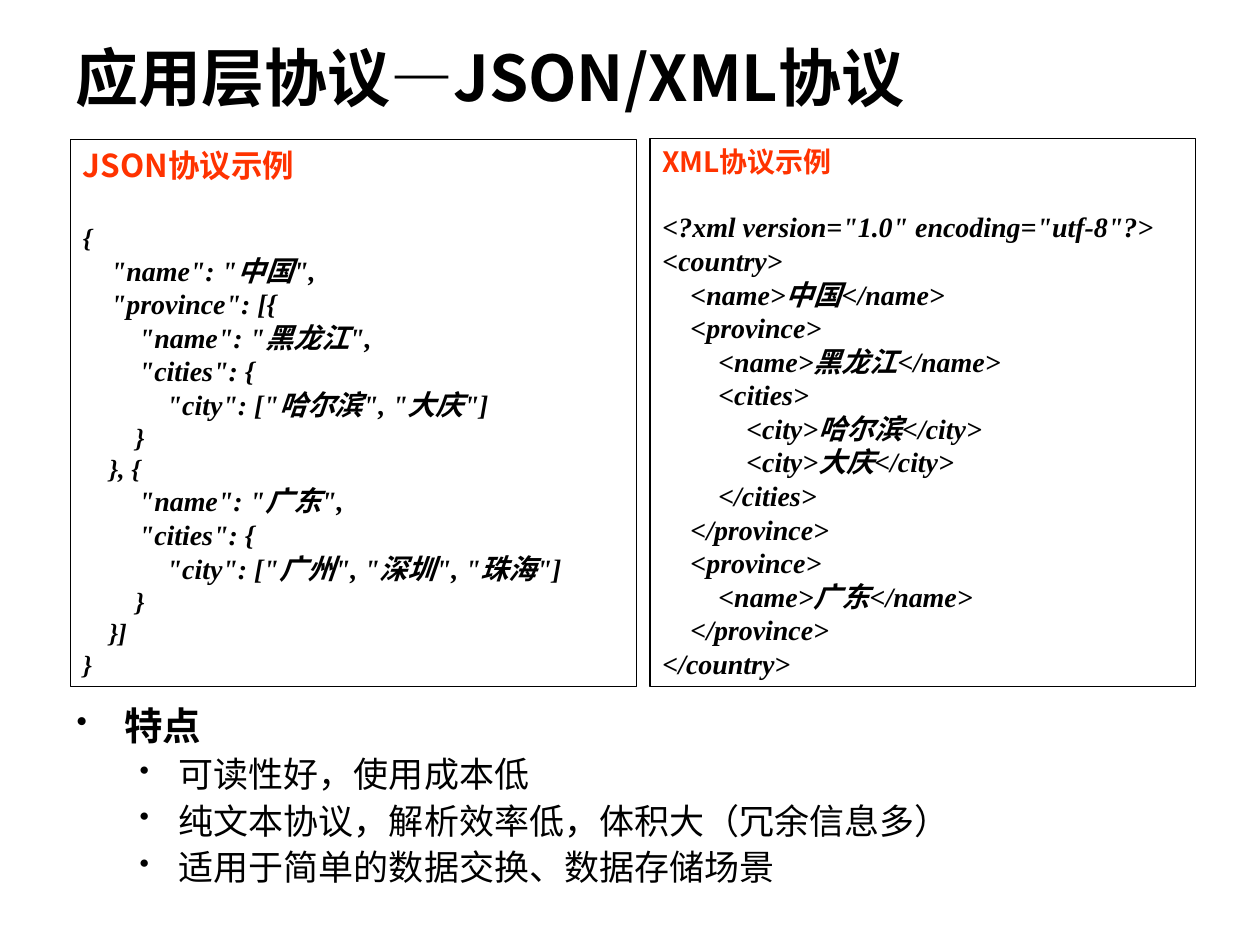
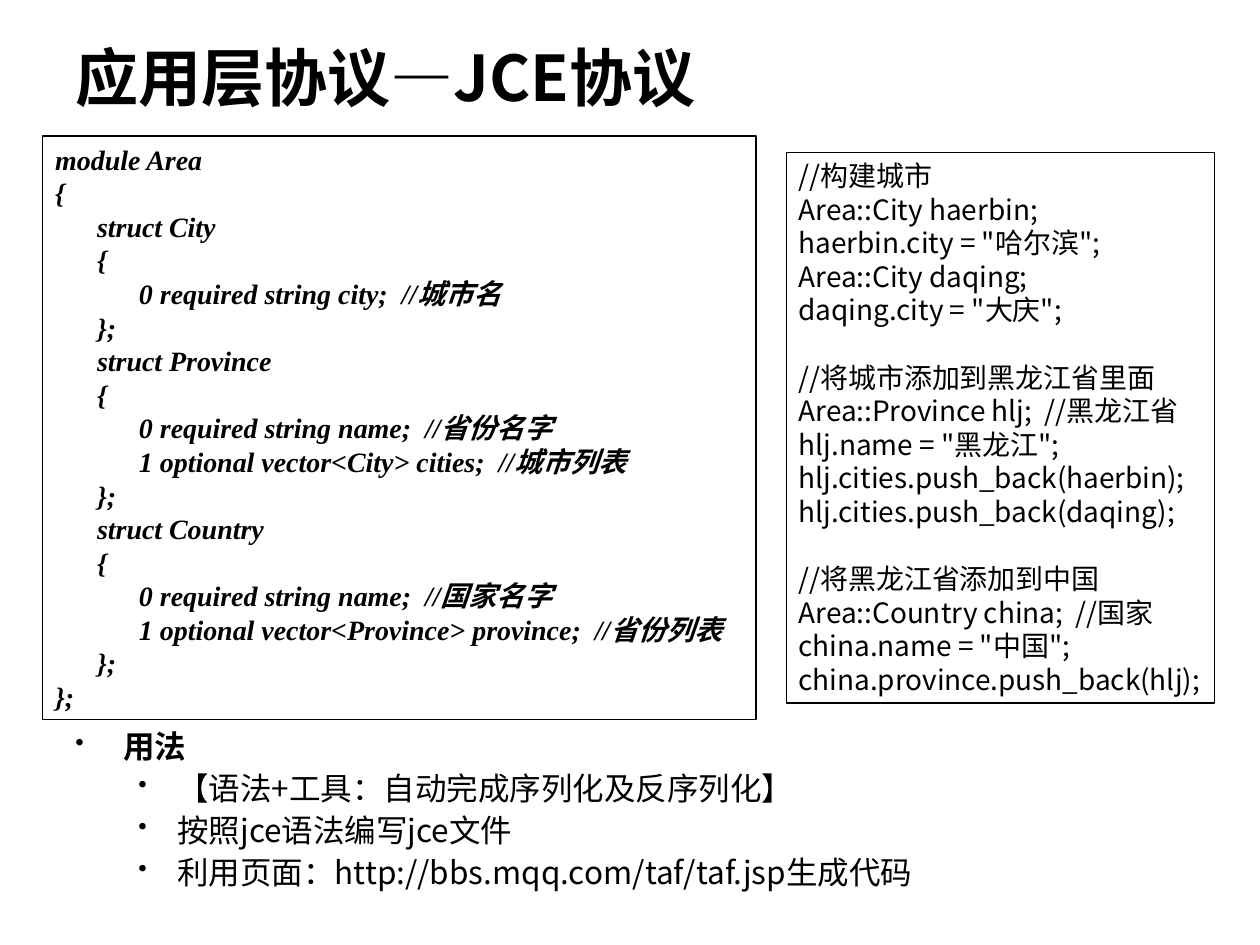
from dataclasses import dataclass

from lxml import etree
from pptx import Presentation
from pptx import util as u
from pptx.dml.color import RGBColor
from pptx.enum import shapes, text
from pptx.oxml.ns import qn

EMU_PER_PX = 9144


@dataclass(frozen=True)
class Theme:
    ink: str = "000000"
    accent: str = "FF3300"
    sans: str = "Noto Sans CJK SC"
    serif: str = "Times New Roman"
    title_size: int = 36
    code_size: int = 16
    bracket_size: int = 15
    code_leading: float = 1.2
    bullet_leading: float = 1.08
    border: float = 0.75


JSON_SAMPLE = """{
    "name": "中国",
    "province": [{
        "name": "黑龙江",
        "cities": {
            "city": ["哈尔滨", "大庆"]
        }
    }, {
        "name": "广东",
        "cities": {
            "city": ["广州", "深圳", "珠海"]
        }
    }]
}"""

XML_SAMPLE = """<?xml version="1.0" encoding="utf-8"?>
<country>
    <name>中国</name>
    <province>
        <name>黑龙江</name>
        <cities>
            <city>哈尔滨</city>
            <city>大庆</city>
        </cities>
    </province>
    <province>
        <name>广东</name>
    </province>
</country>"""

JCE_DEFINITION = """module Area
{
      struct City
      {
            0 required string city;  //城市名
      };
      struct Province
      {
            0 required string name;  //省份名字
            1 optional vector<City> cities;  //城市列表
      };
      struct Country
      {
            0 required string name;  //国家名字
            1 optional vector<Province> province;  //省份列表
      };
};"""

JCE_USAGE = """//构建城市
Area::City haerbin;
haerbin.city = "哈尔滨";
Area::City daqing;
daqing.city = "大庆";

//将城市添加到黑龙江省里面
Area::Province hlj;  //黑龙江省
hlj.name = "黑龙江";
hlj.cities.push_back(haerbin);
hlj.cities.push_back(daqing);

//将黑龙江省添加到中国
Area::Country china;  //国家
china.name = "中国";
china.province.push_back(hlj);"""


def px(length):
    return u.Emu(length * EMU_PER_PX)


class Deck:
    def __init__(self, theme):
        self.theme = theme
        self.prs = Presentation()
        self.prs.slide_width, self.prs.slide_height = px(1000), px(750)
        self.slide = None

    def new_slide(self, heading):
        self.slide = self.prs.slides.add_slide(self.prs.slide_layouts[6])
        frame = self.text_box(50, 21, 900, 79)
        frame.vertical_anchor = text.MSO_ANCHOR.MIDDLE
        self.set_line(frame.paragraphs[0], heading, self.theme.title_size, bold=True)

    def text_box(self, *place):
        box = self.slide.shapes.add_textbox(*map(px, place))
        box.text_frame.word_wrap = True
        return box.text_frame

    def next_paragraph(self, frame):
        first = frame.paragraphs[0]
        return frame.add_paragraph() if first.runs else first

    def set_line(self, paragraph, words, size, font=None, color=None, bold=False,
                 italic=False, leading=None, before=0):
        paragraph.text = words
        paragraph.alignment = text.PP_ALIGN.LEFT
        if leading:
            paragraph.line_spacing = u.Pt(size * leading)
        if before:
            paragraph.space_before = u.Pt(before)
        for run in paragraph.runs:
            run.font.name = font or self.theme.sans
            run.font.size = u.Pt(size)
            run.font.bold, run.font.italic = bold, italic
            run.font.color.rgb = RGBColor.from_string(color or self.theme.ink)
            east_asian = etree.SubElement(run.font._element, qn("a:ea"))
            east_asian.set("typeface", self.theme.sans)

    def code_panel(self, place, code, heading=None, heading_size=16, gap=0,
                   styled=True, small_brackets=False):
        theme = self.theme
        panel = self.slide.shapes.add_shape(shapes.MSO_SHAPE.RECTANGLE, *map(px, place))
        panel.shadow.inherit = False
        panel.fill.background()
        panel.line.color.rgb = RGBColor.from_string(theme.ink)
        panel.line.width = u.Pt(theme.border)
        frame = panel.text_frame
        frame.word_wrap = False
        frame.vertical_anchor = text.MSO_ANCHOR.TOP
        if heading:
            self.set_line(frame.paragraphs[0], heading, heading_size,
                          color=theme.accent, bold=True, leading=theme.code_leading)
        before = gap
        for line in code.splitlines():
            if not line:
                before = theme.code_size * theme.code_leading
                continue
            bracket = small_brackets and '"' not in line
            self.set_line(self.next_paragraph(frame), line,
                          theme.bracket_size if bracket else theme.code_size,
                          font=theme.serif if styled else theme.sans,
                          bold=styled, italic=styled,
                          leading=theme.code_leading, before=before)
            before = 0

    def bullets(self, place, topic, points, topic_size, point_size, before):
        frame = self.text_box(*place)
        for index, words in enumerate([topic, *points]):
            is_topic = index == 0
            paragraph = self.next_paragraph(frame)
            self.add_bullet(paragraph, *((38, -38) if is_topic else (81, -31)))
            paragraph.level = 0 if is_topic else 1
            self.set_line(paragraph, words, topic_size if is_topic else point_size,
                          bold=is_topic, leading=self.theme.bullet_leading,
                          before=0 if is_topic else before)

    def add_bullet(self, paragraph, margin, indent):
        props = paragraph._p.get_or_add_pPr()
        props.set("marL", str(px(margin)))
        props.set("indent", str(px(indent)))
        color = etree.SubElement(props, qn("a:buClr"))
        etree.SubElement(color, qn("a:srgbClr")).set("val", self.theme.ink)
        etree.SubElement(props, qn("a:buSzPct")).set("val", "80000")
        etree.SubElement(props, qn("a:buChar")).set("char", "•")


def main():
    deck = Deck(Theme())

    deck.new_slide("应用层协议—JSON/XML协议")
    deck.bullets((51, 556, 900, 165), "特点",
                 ["可读性好，使用成本低",
                  "纯文本协议，解析效率低，体积大（冗余信息多）",
                  "适用于简单的数据交换、数据存储场景"],
                 topic_size=22, point_size=20, before=5)
    deck.code_panel((516, 110, 433, 435), XML_SAMPLE, "XML协议示例", 16, gap=18)
    deck.code_panel((56, 111, 449, 434), JSON_SAMPLE, "JSON协议示例", 18, gap=21.6,
                    small_brackets=True)

    deck.new_slide("应用层协议—JCE协议")
    deck.bullets((50, 575, 843, 119), "用法",
                 ["【语法+工具：自动完成序列化及反序列化】",
                  "按照jce语法编写jce文件",
                  "利用页面：http://bbs.mqq.com/taf/taf.jsp生成代码"],
                 topic_size=18, point_size=18, before=4.5)
    deck.code_panel((34, 108, 566, 463), JCE_DEFINITION)
    deck.code_panel((624, 121, 340, 437), JCE_USAGE, styled=False)

    deck.prs.save("out.pptx")


if __name__ == "__main__":
    main()
